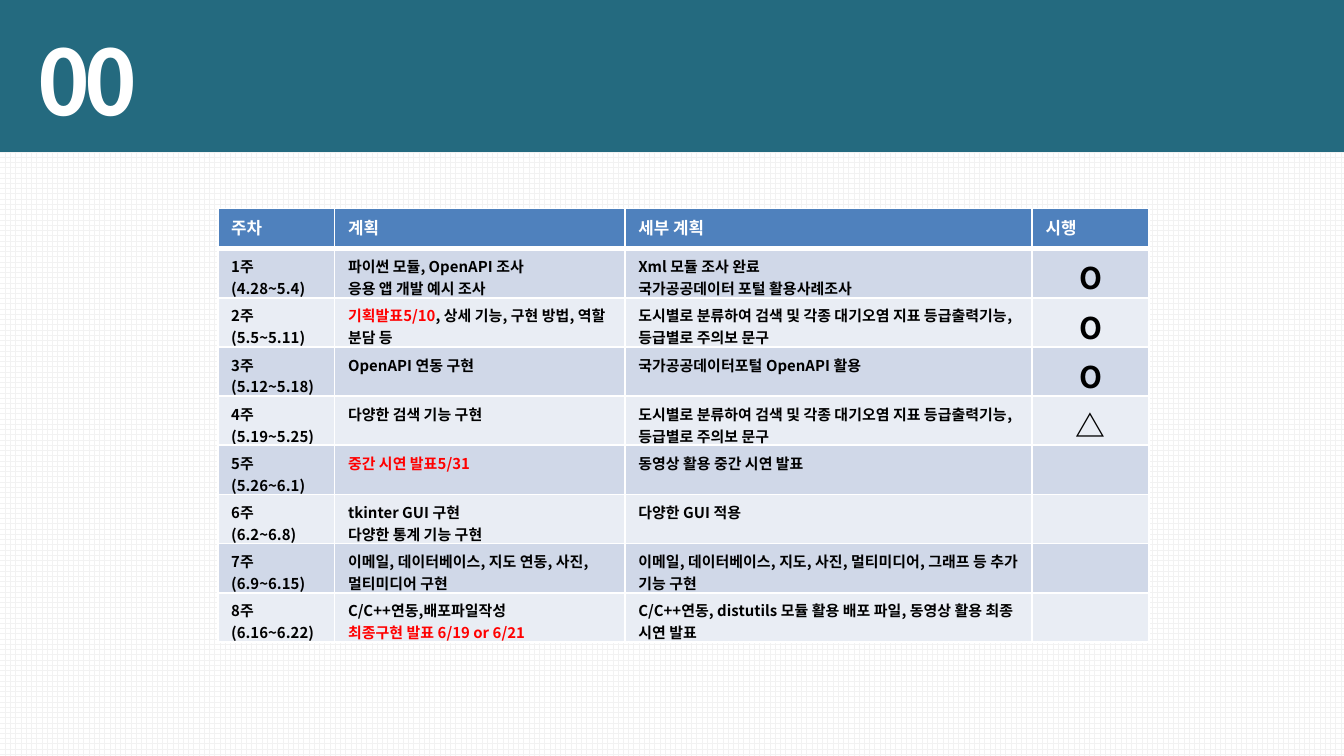
from lxml import etree
from pptx import Presentation
from pptx import util as u
from pptx.dml.color import RGBColor
from pptx.enum import dml, shapes, text
from pptx.oxml import ns

FONT = "Noto Sans CJK KR"
WHITE = RGBColor(0xFF, 0xFF, 0xFF)
BLACK = RGBColor(0, 0, 0)
RED = RGBColor(0xFF, 0, 0)
TEAL = RGBColor(0x24, 0x6A, 0x7F)
GRID_GRAY = RGBColor(0xF2, 0xF2, 0xF2)
HEADER_BLUE = RGBColor(0x4F, 0x81, 0xBD)
BANDS = (RGBColor(0xD0, 0xD8, 0xE8), RGBColor(0xE9, 0xED, 0xF4))

COLUMN_WIDTHS = (0.87, 2.16, 3.03, 0.87)
HEADER_HEIGHT, ROW_HEIGHT = 0.3, 0.366
HEADINGS = ("주차", "계획", "세부 계획", "시행")
SEARCH_DETAIL = "도시별로 분류하여 검색 및 각종 대기오염 지표 등급출력기능, 등급별로 주의보 문구"
# Each line is a string, or a (red, black) pair.
WEEKS = [
    (["1주 (4.28~5.4)"], ["파이썬 모듈, OpenAPI 조사", "응용 앱 개발 예시 조사"],
     ["Xml 모듈 조사 완료", "국가공공데이터 포털 활용사례조사"], "O"),
    (["2주", "(5.5~5.11)"], [("기획발표5/10", ", 상세 기능, 구현 방법, 역할 분담 등")],
     [SEARCH_DETAIL], "O"),
    (["3주", "(5.12~5.18)"], ["OpenAPI 연동 구현"],
     ["국가공공데이터포털 OpenAPI 활용"], "O"),
    (["4주", "(5.19~5.25)"], ["다양한 검색 기능 구현"], [SEARCH_DETAIL], "△"),
    (["5주", "(5.26~6.1)"], [("중간 시연 발표5/31", "")],
     ["동영상 활용 중간 시연 발표"], ""),
    (["6주", "(6.2~6.8)"], ["tkinter GUI 구현", "다양한 통계 기능 구현"],
     ["다양한 GUI 적용"], ""),
    (["7주", "(6.9~6.15)"], ["이메일, 데이터베이스, 지도 연동, 사진, 멀티미디어 구현"],
     ["이메일, 데이터베이스, 지도, 사진, 멀티미디어, 그래프 등 추가 기능 구현"], ""),
    (["8주", "(6.16~6.22)"],
     ["C/C++연동,배포파일작성", ("최종구현 발표 6/19 or 6/21", "")],
     ["C/C++연동, distutils 모듈 활용 배포 파일, 동영상 활용 최종 시연 발표"], ""),
]


def apply(target, values):
    """Set attributes of target from a dict."""
    for name, value in values.items():
        setattr(target, name, value)


class SlideBuilder:
    """Holds the font and the current slide."""

    def __init__(self, slide, font):
        """Remember the slide and the font name."""
        self.slide = slide
        self.font = font

    def rectangle(self, left, top, width, height):
        """Add a rectangle without line or shadow."""
        shape = self.slide.shapes.add_shape(
            shapes.MSO_SHAPE.RECTANGLE, *map(u.Inches, (left, top, width, height)))
        shape.shadow.inherit = False
        shape.line.fill.background()
        return shape

    def run(self, paragraph, content, size, color):
        """Add a bold run in the slide font."""
        run = paragraph.add_run()
        run.text = content
        apply(run.font, {"size": u.Pt(size), "bold": True, "name": self.font})
        run.font.color.rgb = color
        properties = run.font._element
        etree.SubElement(properties, ns.qn("a:ea"), typeface=self.font)
        return properties

    def number(self, content, left, top, width, height):
        """Add the large section number."""
        box = self.slide.shapes.add_textbox(*map(u.Inches, (left, top, width, height)))
        apply(box.text_frame, {"word_wrap": True,
                               "auto_size": text.MSO_AUTO_SIZE.SHAPE_TO_FIT_TEXT})
        paragraph = box.text_frame.paragraphs[0]
        paragraph.alignment = text.PP_ALIGN.CENTER
        self.run(paragraph, content, 48, WHITE).set("spc", "-300")

    def borders(self, cell, bottom):
        """Draw white cell borders, with the given bottom width."""
        properties = cell._tc.get_or_add_tcPr()
        for index, (side, width) in enumerate(
                (("lnL", 1), ("lnR", 1), ("lnT", 1), ("lnB", bottom))):
            line = etree.Element(ns.qn("a:" + side), w=str(u.Pt(width)))
            fill = etree.SubElement(line, ns.qn("a:solidFill"))
            etree.SubElement(fill, ns.qn("a:srgbClr"), val=str(WHITE))
            properties.insert(index, line)

    def cell(self, cell, lines, fill, size=8, color=BLACK, centered=False, bottom=1):
        """Fill one table cell with paragraphs."""
        cell.fill.solid()
        cell.fill.fore_color.rgb = fill
        self.borders(cell, bottom)
        cell.margin_bottom = 0
        frame = cell.text_frame
        for index, line in enumerate(lines):
            paragraph = frame.add_paragraph() if index else frame.paragraphs[0]
            if centered:
                paragraph.alignment = text.PP_ALIGN.CENTER
            red, plain = line if isinstance(line, tuple) else ("", line)
            for content, shade in ((red, RED), (plain, color)):
                if content:
                    self.run(paragraph, content, size, shade)
            if not (red or plain):
                etree.SubElement(paragraph._p, ns.qn("a:endParaRPr"), sz="800")

    def schedule(self, left, top, headings, weeks):
        """Add the weekly plan table."""
        heights = [HEADER_HEIGHT] + [ROW_HEIGHT] * len(weeks)
        table = self.slide.shapes.add_table(
            len(heights), len(headings), u.Inches(left), u.Inches(top),
            u.Inches(sum(COLUMN_WIDTHS)), u.Inches(sum(heights))).table
        for column, width in zip(table.columns, COLUMN_WIDTHS):
            column.width = u.Inches(width)
        for row, height in zip(table.rows, heights):
            row.height = u.Inches(height)
        for index, heading in enumerate(headings):
            self.cell(table.cell(0, index), [heading], HEADER_BLUE, 9, WHITE, bottom=3)
        for number, (*columns, mark) in enumerate(weeks, 1):
            band = BANDS[(number - 1) % 2]
            for index, lines in enumerate(columns):
                self.cell(table.cell(number, index), lines, band)
            self.cell(table.cell(number, len(columns)), [mark], band, 16, centered=True)


def main():
    """Build and save the slide."""
    presentation = Presentation()
    apply(presentation, {"slide_width": u.Inches(10), "slide_height": u.Inches(5.625)})
    slide = presentation.slides.add_slide(presentation.slide_layouts[6])
    builder = SlideBuilder(slide, FONT)

    backdrop = builder.rectangle(0, 0, 10, 5.625)
    backdrop.fill.patterned()
    backdrop.fill.pattern = dml.MSO_PATTERN.LARGE_GRID
    backdrop.fill.fore_color.rgb = GRID_GRAY
    backdrop.fill.back_color.rgb = WHITE

    banner = builder.rectangle(0, 0, 10, 1.13)
    banner.fill.solid()
    banner.fill.fore_color.rgb = TEAL

    builder.number("00", 0.08, 0.14, 1.14, 0.91)
    builder.schedule(1.62, 1.55, HEADINGS, WEEKS)
    presentation.save("out.pptx")


main()
